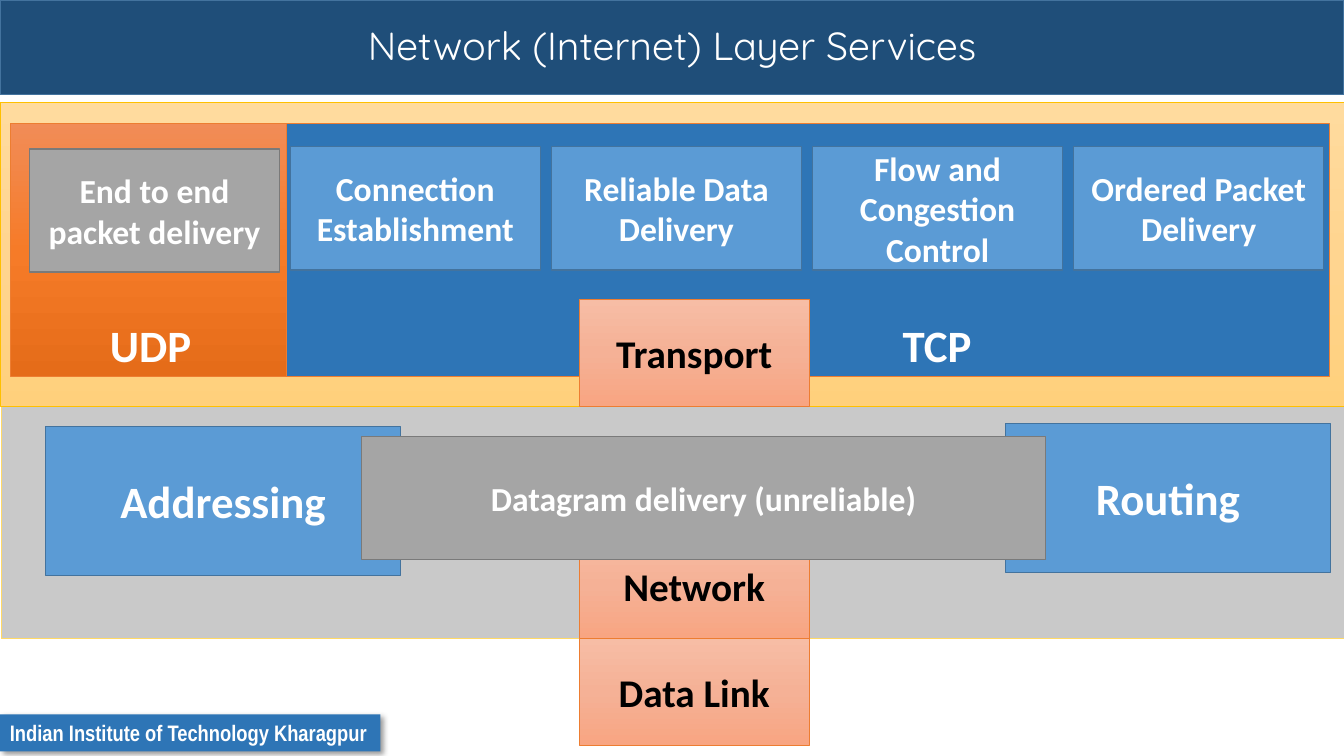
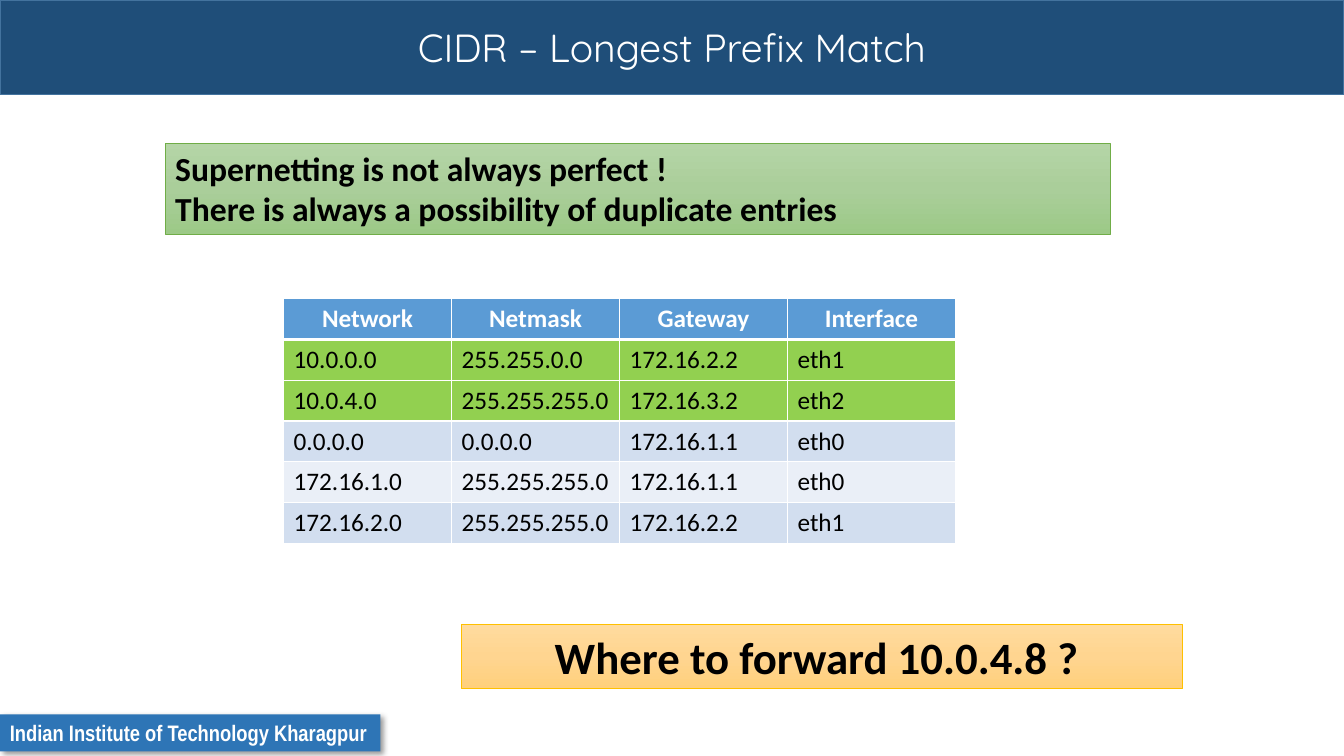
from copy import deepcopy

from lxml import etree
from pptx import Presentation
from pptx import util as u
from pptx.dml.color import RGBColor
from pptx.enum import shapes, text
from pptx.oxml import ns, parse_xml

# Shared style; positions and sizes are percentages of the slide's width and height
WIDTH, HEIGHT = u.Inches(13.33), u.Inches(7.5)
COLORS = {
    "white": "FFFFFF", "black": "000000",
    "band": "1F4E79", "edge": "43739E", "deep_blue": "2E75B6", "blue": "5B9BD5",
    "gray": "A5A5A5", "gray_edge": "7A7A7A", "silver": "C9C9C9", "pale_gold": "FFD966",
    "gold": "FFC000", "orange": "ED7D31", "green": "70AD47",
    "match": "92D050", "odd_row": "D2DEEF", "even_row": "EAEFF7",
}
GRADIENTS = {
    "sand": ("FFDB9E", "FFD590", "FFD07C"),
    "flame": ("F18C57", "F67B28", "E56C19"),
    "peach": ("F7BDA5", "F5B196", "F8A582"),
    "leaf": ("B5D5A7", "AACE9A", "9CC987"),
}
CENTER, LEFT = text.PP_ALIGN.CENTER, text.PP_ALIGN.LEFT
TOP, MIDDLE, BOTTOM = (text.MSO_ANCHOR.TOP, text.MSO_ANCHOR.MIDDLE,
                       text.MSO_ANCHOR.BOTTOM)


def rgb(name):
    return RGBColor.from_string(COLORS[name])


def place(left, top, width, height):
    return [int(share * side / 100) for share, side in
            zip((left, top, width, height), (WIDTH, HEIGHT) * 2)]


def add_text(paragraph, words, size, color="white", bold=True, font="Calibri",
             align=CENTER):
    paragraph.alignment = align
    run = paragraph.add_run()
    run.text = words
    run.font.name, run.font.size, run.font.bold = font, u.Pt(size), bold
    run.font.color.rgb = rgb(color)


def write(shape, lines, size, anchor=MIDDLE, **style):
    frame = shape.text_frame
    frame.word_wrap = True
    frame.vertical_anchor = anchor
    for index, words in enumerate(lines):
        paragraph = frame.add_paragraph() if index else frame.paragraphs[0]
        add_text(paragraph, words, size, **style)
    return frame


def fill_gradient(shape, stops):
    shape.fill.gradient()
    shape.fill.gradient_angle = 270
    stop_list = shape.element.spPr.find(".//" + ns.qn("a:gsLst"))
    stop_list.append(deepcopy(stop_list[0]))
    for index, stop in enumerate(shape.fill.gradient_stops):
        stop.position = index / 2
        stop.color.rgb = RGBColor.from_string(stops[index])


def add_box(slide, area, fill, edge, weight=0.5):
    shape = slide.shapes.add_shape(shapes.MSO_SHAPE.RECTANGLE, *place(*area))
    shape.shadow.inherit = False
    if fill in GRADIENTS:
        fill_gradient(shape, GRADIENTS[fill])
    else:
        shape.fill.solid()
        shape.fill.fore_color.rgb = rgb(fill)
    if edge:
        shape.line.color.rgb = rgb(edge)
        shape.line.width = u.Pt(weight)
    else:
        shape.line.fill.background()
    return shape


def add_card(slide, area, words, size=24, fill="blue", edge="edge"):
    write(add_box(slide, area, fill, edge, 1), [words], size)


def add_shadow(shape):
    effects = shape.element.spPr.find(ns.qn("a:effectLst"))
    effects.append(parse_xml(
        f'<a:outerShdw {ns.nsdecls("a")} blurRad="{u.Pt(4)}" dist="{u.Pt(3)}" '
        'dir="2700000" algn="tl" rotWithShape="0"><a:srgbClr val="000000">'
        '<a:alpha val="40000"/></a:srgbClr></a:outerShdw>'))


def add_base_slide(presentation, title, title_top):
    slide = presentation.slides.add_slide(presentation.slide_layouts[6])
    # Title band and footer
    add_box(slide, (0, 0.1, 100, 12.4), "band", "edge", 1)
    footer = add_box(slide, (0, 94.5, 28.3, 4.9), "deep_blue", None)
    add_shadow(footer)
    frame = write(footer, ["Indian Institute of Technology Kharagpur"], 16, TOP,
                  font="Arial Narrow", align=LEFT)
    frame.word_wrap = False
    # Title
    box = slide.shapes.add_textbox(*place(0, title_top, 100, 12.5 - title_top))
    frame = write(box, [title], 28, font="Quicksand", bold=False)
    frame.paragraphs[0].line_spacing = 0.9
    return slide


def add_border(cell, side, weight):
    line = etree.SubElement(cell._tc.get_or_add_tcPr(), ns.qn(f"a:ln{side}"),
                            w=str(u.Pt(weight)))
    solid = etree.SubElement(line, ns.qn("a:solidFill"))
    etree.SubElement(solid, ns.qn("a:srgbClr"), val=COLORS["white"])


def add_grid(slide, area, rows, fills):
    table = slide.shapes.add_table(len(rows), len(rows[0]), *place(*area)).table
    for row_index, (row, fill) in enumerate(zip(rows, fills)):
        header = row_index == 0
        weights = {"L": 1, "R": 1, "T": 3 if row_index == 1 else 1,
                   "B": 3 if header else 1}
        for column_index, words in enumerate(row):
            cell = table.cell(row_index, column_index)
            for side, weight in weights.items():
                add_border(cell, side, weight)
            cell.fill.solid()
            cell.fill.fore_color.rgb = rgb(fill)
            add_text(cell.text_frame.paragraphs[0], words, 18,
                     "white" if header else "black", header,
                     align=CENTER if header else LEFT)


def add_layer_services(presentation):
    slide = add_base_slide(presentation, "Network (Internet) Layer Services", 0.1)
    # Layer backgrounds
    add_box(slide, (0.1, 53.7, 99.9, 30.8), "silver", "pale_gold")
    add_box(slide, (0, 13.6, 100, 40.1), "sand", "gold")
    # Transport protocols
    udp = add_box(slide, (0.8, 16.3, 20.8, 33.5), "flame", "orange")
    write(udp, ["UDP"], 32, BOTTOM)
    add_card(slide, (2.2, 19.7, 18.6, 16.3), "End to end packet delivery",
             fill="gray", edge="gray_edge")
    tcp = add_box(slide, (21.3, 16.3, 77.6, 33.5), "deep_blue", "orange")
    write(tcp, ["TCP"], 32, BOTTOM).margin_left = int(0.2 * WIDTH)
    services = ("Connection Establishment", "Reliable Data Delivery",
                "Flow and Congestion Control", "Ordered Packet Delivery")
    for index, service in enumerate(services):
        add_card(slide, (21.6 + 19.43 * index, 19.4, 18.6, 16.3), service)
    # Layer names
    for name, top in (("Transport", 39.6), ("Data Link", 84.5), ("Network", 70.4)):
        label = add_box(slide, (43.1, top, 17.1, 14.1), "peach", "orange")
        write(label, [name], 28, color="black")
    # Network services
    add_card(slide, (3.4, 56.4, 26.4, 19.7), "Addressing", 32)
    add_card(slide, (74.8, 56, 24.2, 19.7), "Routing", 32)
    add_card(slide, (26.9, 57.7, 50.9, 16.3), "Datagram delivery (unreliable)",
             fill="gray", edge="gray_edge")


def add_prefix_match(presentation):
    slide = add_base_slide(presentation, "CIDR – Longest Prefix Match", 0.8)
    # Routing table
    rows = (
        ("Network", "Netmask", "Gateway", "Interface"),
        ("10.0.0.0", "255.255.0.0", "172.16.2.2", "eth1"),
        ("10.0.4.0", "255.255.255.0", "172.16.3.2", "eth2"),
        ("0.0.0.0", "0.0.0.0", "172.16.1.1", "eth0"),
        ("172.16.1.0", "255.255.255.0", "172.16.1.1", "eth0"),
        ("172.16.2.0", "255.255.255.0", "172.16.2.2", "eth1"),
    )
    fills = ("blue", "match", "match", "odd_row", "even_row", "odd_row")
    add_grid(slide, (21.1, 39.5, 50, 32.4), rows, fills)
    # Remark and question
    remark = add_box(slide, (12.3, 18.9, 70.3, 12.1), "leaf", "green")
    write(remark, ["Supernetting is not always perfect !",
                   "There is always a possibility of duplicate entries"],
          24, TOP, color="black", align=LEFT)
    question = add_box(slide, (34.3, 82.6, 53.7, 8.5), "sand", "gold")
    write(question, ["Where to forward 10.0.4.8 ? "], 32, TOP, color="black")


def main():
    presentation = Presentation()
    presentation.slide_width, presentation.slide_height = WIDTH, HEIGHT
    add_layer_services(presentation)
    add_prefix_match(presentation)
    presentation.save("out.pptx")


if __name__ == "__main__":
    main()
